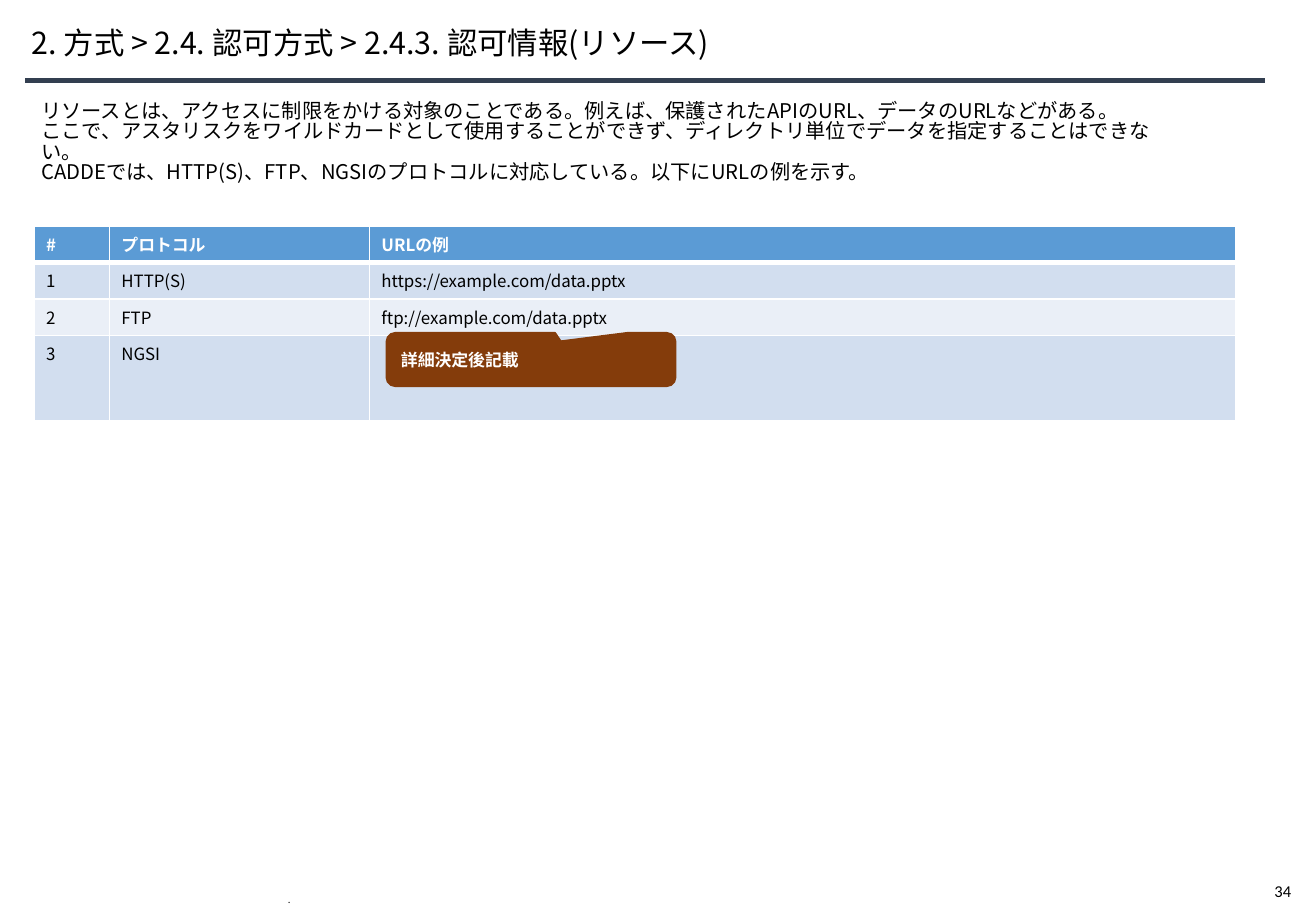
from lxml import etree
from pptx import Presentation
from pptx.dml.color import RGBColor
from pptx.enum import shapes, text
from pptx.oxml.ns import qn
from pptx.util import Inches, Pt

BLACK = RGBColor(0x00, 0x00, 0x00)
WHITE = RGBColor(0xFF, 0xFF, 0xFF)
NAVY = RGBColor(0x33, 0x3F, 0x50)
BROWN = RGBColor(0x84, 0x3C, 0x0B)
HEADER_BLUE = RGBColor(0x5B, 0x9B, 0xD5)
BAND_DARK = RGBColor(0xD2, 0xDE, 0xEF)
BAND_LIGHT = RGBColor(0xEA, 0xEF, 0xF7)
NOTO = "Noto Sans CJK JP"
CALIBRI = "Calibri"

TITLE = "2. 方式 > 2.4. 認可方式 > 2.4.3. 認可情報(リソース)"
BODY = [
    "リソースとは、アクセスに制限をかける対象のことである。例えば、保護されたAPIのURL、データのURLなどがある。",
    "ここで、アスタリスクをワイルドカードとして使用することができず、ディレクトリ単位でデータを指定することはできない。",
    "CADDEでは、HTTP(S)、FTP、NGSIのプロトコルに対応している。以下にURLの例を示す。",
]
PROTOCOLS = [
    ("#", "プロトコル", "URLの例"),
    ("1", "HTTP(S)", "https://example.com/data.pptx"),
    ("2", "FTP", "ftp://example.com/data.pptx"),
    ("3", "NGSI", ""),
]
COL_WIDTHS = (0.62, 2.14, 7.13)
ROW_HEIGHTS = (0.3, 0.3, 0.3, 0.7)


def add_run(p, words, size, font=NOTO, color=BLACK, bold=False):
    """Add a run whose font also applies to its Japanese characters."""
    r = p.add_run()
    r.text = words
    r.font.size = Pt(size)
    r.font.name = font
    r.font.bold = bold
    r.font.color.rgb = color
    ea = etree.SubElement(r._r.get_or_add_rPr(), qn("a:ea"))
    ea.set("typeface", NOTO)


def add_text(s, box, lines, size, font=NOTO, spacing=None, wrap=True,
             anchor=text.MSO_ANCHOR.TOP):
    tf = s.shapes.add_textbox(*map(Inches, box)).text_frame
    tf.word_wrap = wrap
    tf.vertical_anchor = anchor
    for i, line in enumerate(lines):
        p = tf.add_paragraph() if i else tf.paragraphs[0]
        p.line_spacing = spacing
        add_run(p, line, size, font)
    return tf


def add_title_rule(s):
    y = Inches(0.66)
    line = s.shapes.add_connector(
        shapes.MSO_CONNECTOR.STRAIGHT, Inches(0.21), y, Inches(10.41), y)
    line.line.color.rgb = NAVY
    line.line.width = Pt(3)
    etree.SubElement(line._element.spPr, qn("a:effectLst"))


def set_borders(cell, bottom):
    """Draw white cell borders; the bottom one has its own width in points."""
    tcPr = cell._tc.get_or_add_tcPr()
    widths = {"a:lnL": 1, "a:lnR": 1, "a:lnT": 1, "a:lnB": bottom}
    for i, (tag, width) in enumerate(widths.items()):
        ln = etree.Element(qn(tag), w=str(Pt(width)))
        fill = etree.SubElement(ln, qn("a:solidFill"))
        etree.SubElement(fill, qn("a:srgbClr"), val=str(WHITE))
        tcPr.insert(i, ln)


def add_protocol_table(s):
    table = s.shapes.add_table(
        len(PROTOCOLS), len(COL_WIDTHS), Inches(0.28), Inches(1.86),
        Inches(sum(COL_WIDTHS)), Inches(sum(ROW_HEIGHTS))).table
    for col, width in zip(table.columns, COL_WIDTHS):
        col.width = Inches(width)
    for i, (row, height) in enumerate(zip(table.rows, ROW_HEIGHTS)):
        header = i == 0
        row.height = Inches(height)
        band = HEADER_BLUE if header else BAND_DARK if i % 2 else BAND_LIGHT
        for cell, words in zip(row.cells, PROTOCOLS[i]):
            cell.fill.solid()
            cell.fill.fore_color.rgb = band
            set_borders(cell, 3 if header or i == 1 and False else 1)
            if i == 1:
                cell._tc.tcPr.find(qn("a:lnT")).set("w", str(Pt(3)))
            if words:
                add_run(cell.text_frame.paragraphs[0], words, 10,
                        color=WHITE if header else BLACK, bold=header)


def add_callout(s):
    sp = s.shapes.add_shape(
        shapes.MSO_SHAPE.ROUNDED_RECTANGULAR_CALLOUT,
        Inches(3.18), Inches(2.74), Inches(2.38), Inches(0.44))
    for i, value in enumerate((0.103, -0.342, 0.167)):
        sp.adjustments[i] = value
    sp.shadow.inherit = False
    sp.fill.solid()
    sp.fill.fore_color.rgb = BROWN
    sp.line.color.rgb = BROWN
    sp.line.width = Pt(1)
    tf = sp.text_frame
    tf.word_wrap = True
    tf.vertical_anchor = text.MSO_ANCHOR.MIDDLE
    p = tf.paragraphs[0]
    p.alignment = text.PP_ALIGN.LEFT
    add_run(p, "詳細決定後記載", 10, CALIBRI, WHITE, True)


def main():
    prs = Presentation()
    prs.slide_width, prs.slide_height = Inches(10.83), Inches(7.5)
    s = prs.slides.add_slide(prs.slide_layouts[6])
    add_text(s, (10.39, 7.2, 0.36, 0.27), ["34"], 9.8, CALIBRI, wrap=False)
    add_title_rule(s)
    add_text(s, (2.27, 7.36, 6.3, 0.14), ["."], 5.7, spacing=Pt(1.6),
             anchor=text.MSO_ANCHOR.BOTTOM)
    title = add_text(s, (0.26, 0.13, 9.92, 0.47), [TITLE], 18, spacing=0.9,
                     anchor=text.MSO_ANCHOR.MIDDLE)
    title.margin_left = 0
    add_text(s, (0.24, 0.79, 9.45, 0.76), BODY, 12, spacing=0.84)
    add_protocol_table(s)
    add_callout(s)
    prs.save("out.pptx")


if __name__ == "__main__":
    main()
